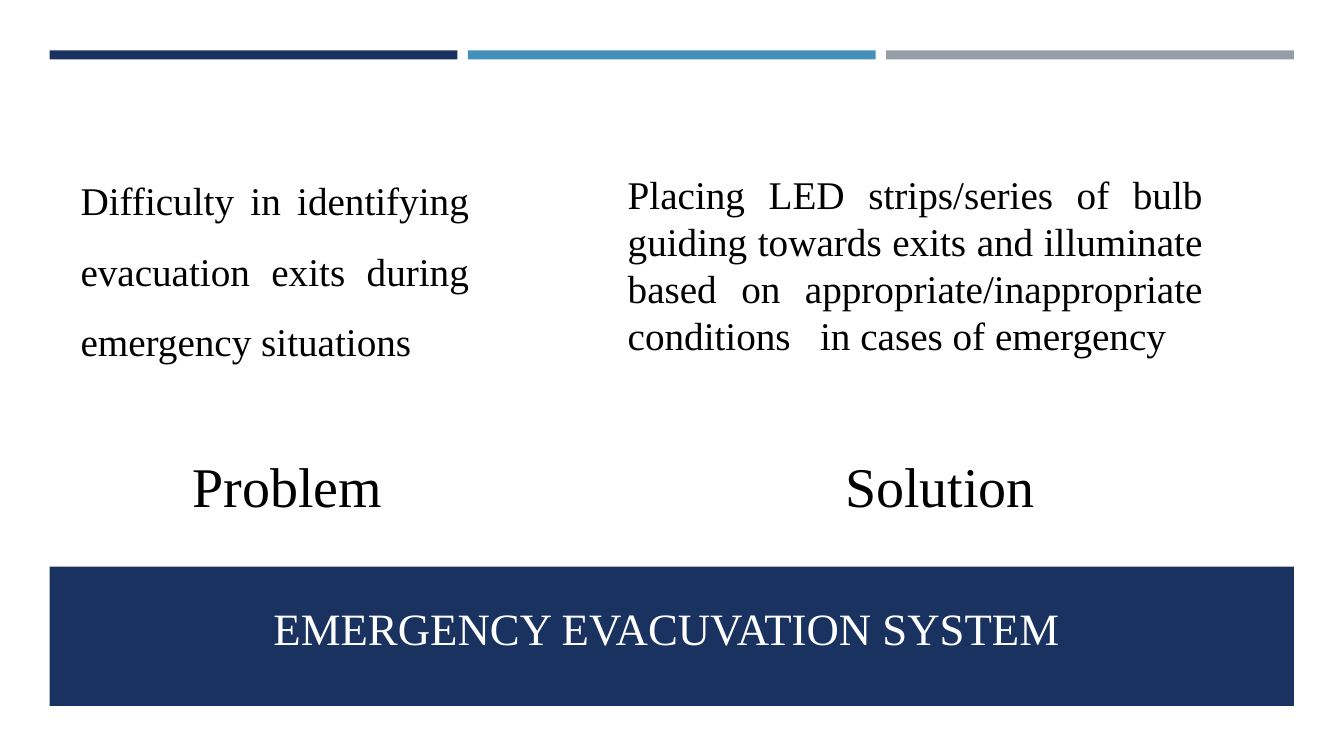
from pptx import Presentation
from pptx.dml.color import RGBColor
from pptx.enum.shapes import MSO_SHAPE
from pptx.enum.text import MSO_ANCHOR, PP_ALIGN
from pptx.util import Cm, Pt

NAVY, BLUE, GRAY = "1A3260", "4590B8", "969FA7"
BLACK, WHITE = "000000", "FFFEFF"
FONT = "Times New Roman"
LEFT, BAR_WIDTH, BAR_PITCH = 1.25, 10.28, 10.54
CENTERED = {"alignment": PP_ALIGN.CENTER, "line_spacing": 1.0}
JUSTIFIED = {"alignment": PP_ALIGN.JUSTIFY, "line_spacing": 1.0}


def color(hex_value):
    """Turn a hex string into a colour."""
    return RGBColor.from_string(hex_value)


def apply_format(target, values):
    """Set every attribute named in a dict of format values."""
    for name, value in values.items():
        setattr(target, name, value)


def add_block(slide, left, top, width, height, fill):
    """Add a plain filled rectangle without outline."""
    shape = slide.shapes.add_shape(
        MSO_SHAPE.RECTANGLE, Cm(left), Cm(top), Cm(width), Cm(height))
    shape.shadow.inherit = False
    shape.fill.solid()
    shape.fill.fore_color.rgb = color(fill)
    shape.line.fill.background()


def write_text(shape, text, size, hex_value, paragraph_format):
    """Write one formatted paragraph into a shape."""
    shape.text_frame.word_wrap = True
    paragraph = shape.text_frame.paragraphs[0]
    apply_format(paragraph, paragraph_format)
    run = paragraph.add_run()
    run.text = text
    apply_format(run.font, {"name": FONT, "size": Pt(size)})
    run.font.color.rgb = color(hex_value)


def add_text(slide, box, text, size, paragraph_format, frame_format):
    """Add a black text box."""
    shape = slide.shapes.add_textbox(*map(Cm, box))
    apply_format(shape.text_frame, frame_format)
    write_text(shape, text, size, BLACK, paragraph_format)


def add_heading(slide, left, text):
    """Add the large caption below a column."""
    margins = dict.fromkeys(
        ("margin_left", "margin_top", "margin_right", "margin_bottom"), 0)
    add_text(slide, (left, 11.38, 11.99, 2), text, 40, CENTERED, margins)


def place_title(slide, text):
    """Move the title placeholder onto the band and in front of it."""
    title = slide.shapes.title
    apply_format(title, {"left": Cm(1.63), "top": Cm(14.63),
                         "width": Cm(30.63), "height": Cm(2)})
    title.text_frame.vertical_anchor = MSO_ANCHOR.BOTTOM
    write_text(title, text, 32, WHITE, CENTERED)
    title.element.getparent().append(title.element)


def main():
    """Build the problem and solution slide."""
    presentation = Presentation()
    presentation.slide_width, presentation.slide_height = Cm(33.87), Cm(19.05)
    slide = presentation.slides.add_slide(presentation.slide_layouts[5])
    for index, fill in enumerate((NAVY, BLUE, GRAY)):
        add_block(slide, LEFT + index * BAR_PITCH, 1.27, BAR_WIDTH, 0.23, fill)
    add_block(slide, LEFT, 14.28, 2 * BAR_PITCH + BAR_WIDTH, 3.51, NAVY)
    place_title(slide, "EMERGENCY EVACUVATION SYSTEM ")
    add_heading(slide, LEFT, "Problem")
    add_heading(slide, 17.7, "Solution")
    add_text(slide, (1.78, 3.73, 10.29, 5.46),
             "Difficulty in identifying evacuation exits during "
             "emergency situations",
             28, {**JUSTIFIED, "line_spacing": 1.5}, {})
    add_text(slide, (15.57, 4.17, 14.99, 5.05),
             "Placing LED strips/series of bulb guiding towards exits and "
             "illuminate based on appropriate/inappropriate conditions   "
             "in cases of emergency", 28, JUSTIFIED, {})
    presentation.save("out.pptx")


if __name__ == "__main__":
    main()
